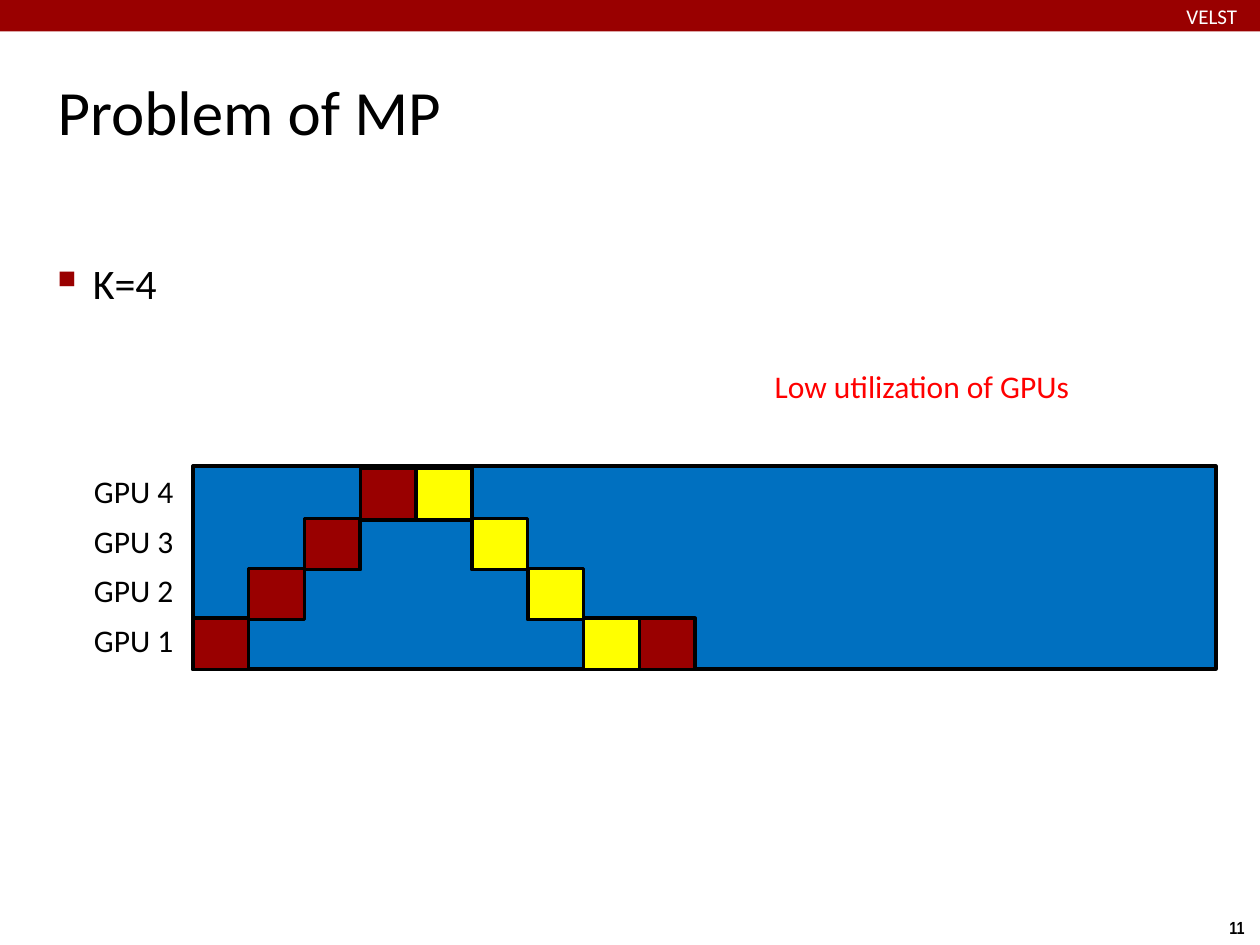
"""Build the slide on low GPU utilization in model parallelism."""
from lxml import etree
from pptx import Presentation
from pptx.dml.color import RGBColor
from pptx.enum import shapes, text
from pptx.oxml import ns
from pptx.util import Pt

RED = RGBColor(0x99, 0x00, 0x00)
BLUE = RGBColor(0x00, 0x70, 0xC0)
YELLOW = RGBColor(0xFF, 0xFF, 0x00)
BRIGHT_RED = RGBColor(0xFF, 0x00, 0x00)
BLACK = RGBColor(0x00, 0x00, 0x00)
WHITE = RGBColor(0xFF, 0xFF, 0xFF)

GPUS = ["GPU 4", "GPU 3", "GPU 2", "GPU 1"]
STEPS = [(1, RED), (2, RED), (3, RED), (4, RED),
         (4, YELLOW), (3, YELLOW), (2, YELLOW), (1, YELLOW), (1, RED)]
TIMELINE = (110.2, 266.4, 584.6, 115.9)
GRID_LEFT, GRID_TOP = 110.2, 267.8
COL_PITCH, ROW_PITCH = 31.9, 28.5
CELL_W, CELL_H = 31.9, 29.3
INSETS = ("margin_left", "margin_top", "margin_right", "margin_bottom")


def add_box(s, box, fill, outlined=True):
    sp = s.shapes.add_shape(shapes.MSO_SHAPE.RECTANGLE, *map(Pt, box))
    sp.shadow.inherit = False
    sp.fill.solid()
    sp.fill.fore_color.rgb = fill
    if outlined:
        sp.line.color.rgb = BLACK
        sp.line.width = Pt(2)
    else:
        sp.line.fill.background()


def add_text(s, box, words, size, color=BLACK, inset=(7.2, 3.6), wrap=True,
             anchor=text.MSO_ANCHOR.TOP, **font):
    tf = s.shapes.add_textbox(*map(Pt, box)).text_frame
    frame = {"word_wrap": wrap, "vertical_anchor": anchor}
    frame.update(zip(INSETS, map(Pt, inset * 2)))
    for name, value in frame.items():
        setattr(tf, name, value)
    p = tf.paragraphs[0]
    r = p.add_run()
    r.text = words
    for name, value in {"name": "Calibri", "size": Pt(size), **font}.items():
        setattr(r.font, name, value)
    r.font.color.rgb = color
    return p


def add_bullet(p, char, color, percent, indent):
    pPr = p._p.get_or_add_pPr()
    pPr.set("marL", str(Pt(indent)))
    pPr.set("indent", str(-Pt(indent)))
    clr = etree.SubElement(pPr, ns.qn("a:buClr"))
    etree.SubElement(clr, ns.qn("a:srgbClr"), val=str(color))
    etree.SubElement(pPr, ns.qn("a:buSzPct"), val=str(percent * 1000))
    etree.SubElement(pPr, ns.qn("a:buChar"), char=char)


def main():
    prs = Presentation()
    prs.slide_width, prs.slide_height = Pt(720), Pt(540)
    s = prs.slides.add_slide(prs.slide_layouts[6])

    add_text(s, (695.5, 520.5, 24.5, 19.5), "11", 10, wrap=False,
             name="Arial Narrow", bold=True)
    add_box(s, (0, 0, 720, 18), RED, outlined=False)
    add_text(s, (30, 20, 660, 86), "Problem of MP", 36, inset=(3, 3),
             anchor=text.MSO_ANCHOR.MIDDLE)
    p = add_text(s, (30, 144, 660, 126), "K=4", 24, inset=(3, 3))
    add_bullet(p, "■", RED, 60, 20)
    add_text(s, (678, 2.2, 42, 14), "VELST", 12, WHITE, (0, 0), wrap=False)

    add_box(s, TIMELINE, BLUE)
    for row, gpu in enumerate(GPUS):
        add_text(s, (46.6, GRID_TOP - 1.8 + row * ROW_PITCH, 85, 29.3), gpu, 18)
    for col, (gpu, color) in enumerate(STEPS):
        top = GRID_TOP + (len(GPUS) - gpu) * ROW_PITCH
        add_box(s, (GRID_LEFT + col * COL_PITCH, top, CELL_W, CELL_H), color)
    add_text(s, (435.6, 206, 200, 51), "Low utilization of GPUs", 18, BRIGHT_RED)

    prs.save("out.pptx")


if __name__ == "__main__":
    main()
